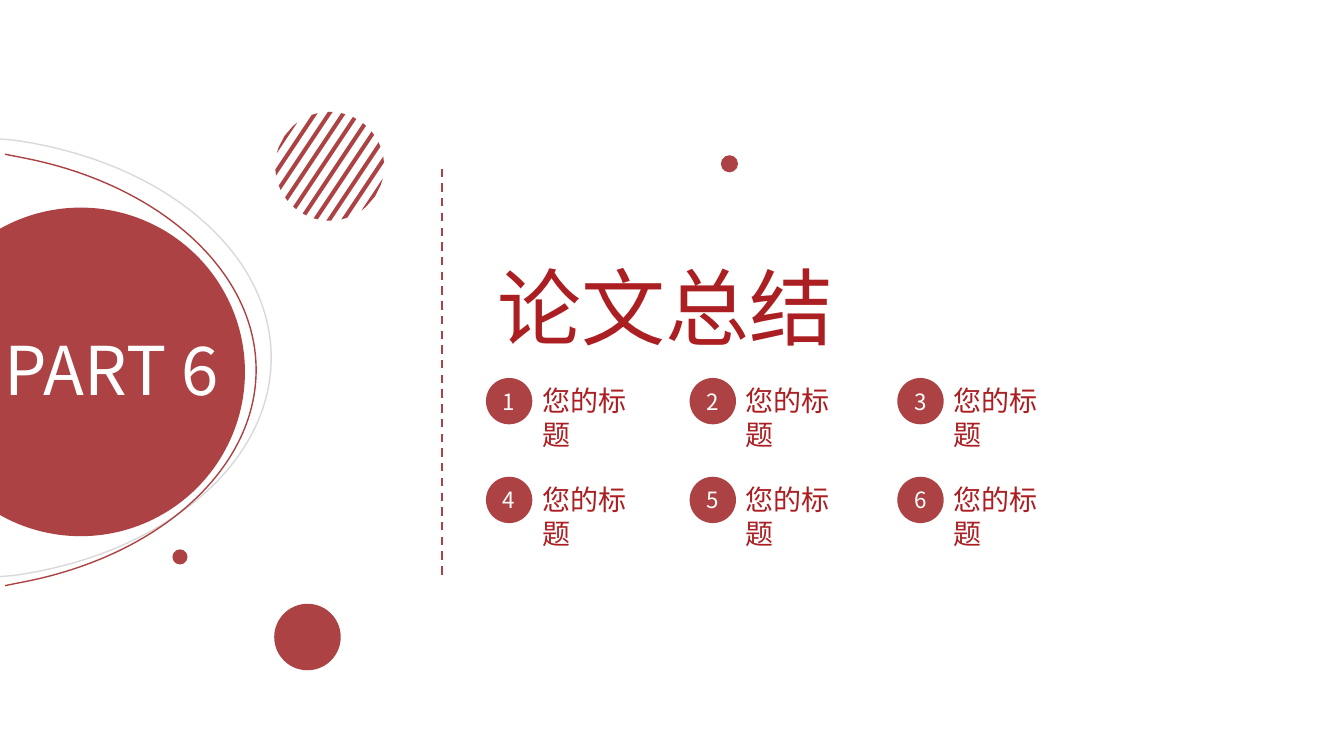
import math

from lxml import etree
from pptx import Presentation
from pptx import util as u
from pptx.dml.color import RGBColor
from pptx.enum import dml, shapes, text
from pptx.oxml import ns

COLORS = {"red": "AC4243", "dark_red": "AB1E21", "gray": "D9D9D9", "white": "FFFFFF"}
FONT = "Noto Sans CJK SC"


def color(name):
    """Return the named colour."""
    return RGBColor.from_string(COLORS[name])


def write(shape, words, size, color_name, align=text.PP_ALIGN.LEFT, wrap=False):
    """Put one formatted line of text in a shape."""
    frame = shape.text_frame
    frame.text = words
    frame.word_wrap = wrap
    paragraph = frame.paragraphs[0]
    paragraph.alignment = align
    font = paragraph.runs[0].font
    font.size, font.name = u.Pt(size), FONT
    font.color.rgb = color(color_name)
    east_asian = etree.SubElement(paragraph.runs[0]._r.get_or_add_rPr(), ns.qn("a:ea"))
    east_asian.set("typeface", FONT)


def add_label(slide, box, words, size, color_name, wrap=False):
    """Add a text box holding one line."""
    label = slide.shapes.add_textbox(*map(u.Inches, box))
    write(label, words, size, color_name, wrap=wrap)
    label.text_frame.auto_size = text.MSO_AUTO_SIZE.SHAPE_TO_FIT_TEXT


def add_disc(slide, left, top, diameter):
    """Add a plain red circle."""
    disc = slide.shapes.add_shape(
        shapes.MSO_SHAPE.OVAL, *map(u.Inches, (left, top, diameter, diameter)))
    disc.shadow.inherit = False
    disc.fill.solid()
    disc.fill.fore_color.rgb = color("red")
    disc.line.fill.background()
    return disc


def add_outline(slide, contours, close):
    """Add a freeform made of one or more contours, in inches."""
    contours = [[(u.Inches(x), u.Inches(y)) for x, y in contour] for contour in contours]
    builder = slide.shapes.build_freeform(*contours[0][0])
    for index, contour in enumerate(contours):
        if index:
            builder.move_to(*contour[0])
        builder.add_line_segments(contour[1:], close=close)
    outline = builder.convert_to_shape()
    outline.shadow.inherit = False
    return outline


def bend(segment, controls, shape):
    """Turn a straight segment into a cubic curve with two control points."""
    segment.tag = ns.qn("a:cubicBezTo")
    for index, (x, y) in enumerate(controls):
        point = etree.Element(ns.qn("a:pt"))
        point.set("x", str(u.Inches(x) - shape.left))
        point.set("y", str(u.Inches(y) - shape.top))
        segment.insert(index, point)


def add_arc(slide, tail, start, first, second, apex, color_name):
    """Draw a curve down to its apex and the mirror image below."""
    def mirror(point):
        return point[0], 2 * apex[1] - point[1]

    arc = add_outline(slide, [[tail, start, apex, mirror(start), mirror(tail)]], close=False)
    segments = arc._element.findall(".//" + ns.qn("a:lnTo"))
    bend(segments[1], (first, second), arc)
    bend(segments[2], (mirror(second), mirror(first)), arc)
    arc.fill.background()
    arc.line.color.rgb = color(color_name)
    arc.line.width = u.Pt(1)


def add_striped_disc(slide, left, top, diameter):
    """Draw slanted parallel stripes clipped to a circle."""
    radius = diameter / 2
    angle = math.atan2(-3, 2)
    along = (math.cos(angle), math.sin(angle))
    across = (-along[1], along[0])
    pitch, thickness, count = 0.117, 0.04, 10
    stripes = []
    for index in range(count):
        start = 0.037 + (index - count // 2) * pitch
        near, far = max(start, -radius), min(start + thickness, radius)
        steps = 2 if index in (0, count - 1) else 1
        offsets = [near + (far - near) * step / steps for step in range(steps + 1)]
        edge = [(d, math.sqrt(max(radius ** 2 - d ** 2, 0))) for d in offsets]
        edge += [(d, -half) for d, half in reversed(edge) if half]
        stripes.append([(left + radius + d * across[0] + half * along[0],
                         top + radius + d * across[1] + half * along[1])
                        for d, half in edge])
    disc = add_outline(slide, stripes, close=True)
    disc.fill.solid()
    disc.fill.fore_color.rgb = color("red")
    disc.line.fill.background()


def add_part_badge(slide, left, top):
    """Build the large disc with its arcs and part number."""
    def at(*points):
        return [(left + x, top + y) for x, y in points]

    add_arc(slide, *at((0.72, -0.69), (0.96, -0.67), (2.42, -0.47), (3.52, 0.42),
                       (3.52, 1.49)), "gray")
    add_arc(slide, *at((0.88, -0.53), (1.08, -0.49), (2.4, -0.23), (3.37, 0.62),
                       (3.37, 1.61)), "red")
    add_disc(slide, left, top, 3.26)
    add_label(slide, (left + 0.78, top + 1.15, 2.59, 0.91), "PART 6", 48, "white", wrap=True)


def add_divider(slide, left, top, height):
    """Draw the dashed vertical line."""
    divider = slide.shapes.add_connector(
        shapes.MSO_CONNECTOR.STRAIGHT, *map(u.Inches, (left, top + height, left, top)))
    divider.line.color.rgb = color("red")
    divider.line.width = u.Pt(1.5)
    divider.line.dash_style = dml.MSO_LINE.DASH
    etree.SubElement(divider._element.spPr, ns.qn("a:effectLst"))


def add_heading(slide, left, top, width, height):
    """Move and fill the title placeholder."""
    title = slide.shapes.title
    title.left, title.top = u.Inches(left), u.Inches(top)
    title.width, title.height = u.Inches(width), u.Inches(height)
    write(title, "论文总结", 60, "dark_red", text.PP_ALIGN.CENTER)
    title.text_frame.vertical_anchor = text.MSO_ANCHOR.TOP
    title.text_frame.auto_size = text.MSO_AUTO_SIZE.SHAPE_TO_FIT_TEXT


def add_topics(slide, left, top):
    """Lay out the six numbered topics in two rows of three."""
    columns, row_pitch, diameter = (0, 2.02, 4.08), 0.98, 0.46
    for index in range(6):
        row, column = divmod(index, len(columns))
        x, y = left + columns[column], top + row * row_pitch
        add_label(slide, (x + diameter, y + 0.01, 1.3, 0.44), "您的标题", 20, "dark_red")
        disc = add_disc(slide, x, y, diameter)
        write(disc, str(index + 1), 16, "white", text.PP_ALIGN.CENTER, wrap=True)
        disc.text_frame.vertical_anchor = text.MSO_ANCHOR.MIDDLE


def add_ornaments(slide, left, top):
    """Scatter the striped disc and the plain dots."""
    add_striped_disc(slide, left, top, 1.08)
    for x, y, diameter in ((4.42, 0.43, 0.17), (-1.02, 4.34, 0.15), (-0.01, 4.88, 0.66)):
        add_disc(slide, left + x, top + y, diameter)


def main():
    """Build and save the section slide."""
    presentation = Presentation()
    presentation.slide_width, presentation.slide_height = u.Inches(13.33), u.Inches(7.5)
    slide = presentation.slides.add_slide(presentation.slide_layouts[5])
    add_part_badge(slide, -0.83, 2.06)
    add_divider(slide, 4.38, 1.63, 4.07)
    add_heading(slide, 4.82, 2.48, 3.57, 1.11)
    add_topics(slide, 4.82, 3.75)
    add_ornaments(slide, 2.73, 1.11)
    presentation.save("out.pptx")


if __name__ == "__main__":
    main()
